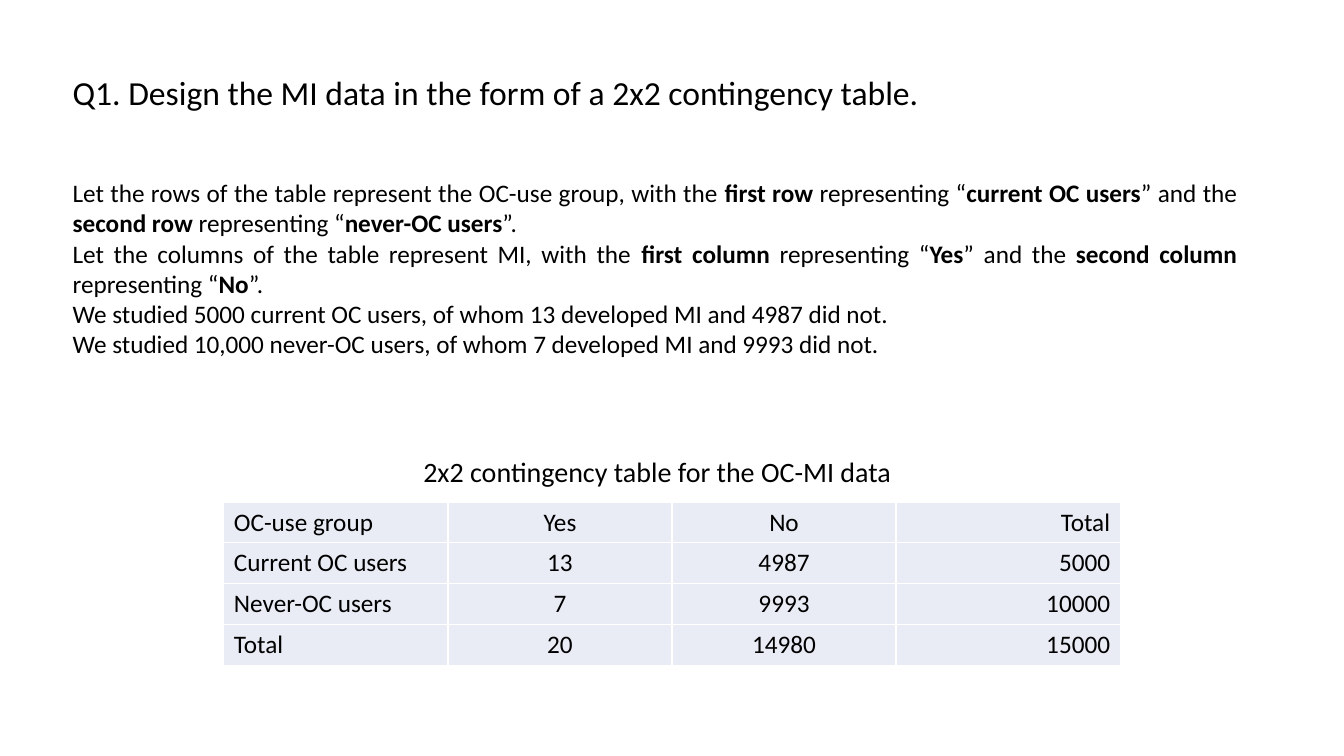
"""Build a slide that sets out the OC-MI data as a 2x2 contingency table."""
from dataclasses import dataclass

from lxml import etree
from pptx import Presentation
from pptx.dml.color import RGBColor
from pptx.enum.text import MSO_ANCHOR, MSO_AUTO_SIZE, PP_ALIGN
from pptx.oxml.ns import qn
from pptx.util import Emu, Pt

LEFT, MID, RIGHT, BOTH = PP_ALIGN.LEFT, PP_ALIGN.CENTER, PP_ALIGN.RIGHT, PP_ALIGN.JUSTIFY
TOP = MSO_ANCHOR.TOP
GROW = MSO_AUTO_SIZE.SHAPE_TO_FIT_TEXT
SCALE = 9144
FONT, BLACK, WHITE, PALE = "Calibri", "000000", "FFFFFF", "E9EBF5"


@dataclass
class Box:
    x: int
    y: int
    w: int
    h: int

    def emu(self) -> tuple:
        return tuple(px(n) for n in (self.x, self.y, self.w, self.h))


@dataclass
class Block:
    box: Box
    lines: list[str]
    size: int
    align: PP_ALIGN = LEFT
    after: int = 0
    wrap: bool = True


HEAD = Block(Box(62, 66, 866, 50),
             ["Q1. Design the MI data in the form of a 2x2 contingency table."],
             24, after=6, wrap=False)
BODY = Block(Box(62, 171, 1175, 192), [
    "Let the rows of the table represent the OC-use group, with the *first row *"
    "representing “*current OC users*” and the *second row *representing “*never-OC users*”.",
    "Let the columns of the table represent MI, with the *first column *"
    "representing “*Yes*” and the *second column *representing “*No*”.",
    "We studied 5000 current OC users, of whom 13 developed MI and 4987 did not.",
    "We studied 10,000 never-OC users, of whom 7 developed MI and 9993 did not.",
], 18, BOTH)
LABEL = Block(Box(410, 446, 513, 44), ["2x2 contingency table for the OC-MI data"], 20)
GRID = Box(222, 498, 889, 162)
ALIGNS = [LEFT, MID, MID, RIGHT]
ROWS = [
    ["OC-use group", "Yes", "No", "Total"],
    ["Current OC users", "13", "4987", "5000"],
    ["Never-OC users", "7", "9993", "10000"],
    ["Total", "20", "14980", "15000"],
]


def px(n: int) -> Emu:
    return Emu(n * SCALE)


def rgb(code: str) -> RGBColor:
    return RGBColor.from_string(code)


def style(run, size: int, bold: bool = False) -> None:
    font = run.font
    font.name, font.size, font.bold = FONT, Pt(size), bold
    font.color.rgb = rgb(BLACK)


def write(shape, block: Block) -> None:
    shape.left, shape.top, shape.width, shape.height = block.box.emu()
    frame = shape.text_frame
    frame.word_wrap, frame.auto_size = block.wrap, GROW
    frame.vertical_anchor = TOP
    for i, line in enumerate(block.lines):
        para = frame.add_paragraph() if i else frame.paragraphs[0]
        props = para._p.get_or_add_pPr()
        props.set("marL", "0")
        props.set("indent", "0")
        etree.SubElement(props, qn("a:buNone"))
        para.alignment = block.align
        para.space_before, para.space_after = Pt(0), Pt(block.after)
        for k, part in enumerate(line.split("*")):
            run = para.add_run()
            run.text = part
            style(run, block.size, k % 2 == 1)


def edge(cell) -> None:
    props = cell._tc.get_or_add_tcPr()
    for side in ("lnL", "lnR", "lnT", "lnB"):
        line = etree.SubElement(props, qn(f"a:{side}"), w=str(Pt(1)))
        fill = etree.SubElement(line, qn("a:solidFill"))
        etree.SubElement(fill, qn("a:srgbClr"), val=WHITE)


def draw_grid(slide) -> None:
    table = slide.shapes.add_table(len(ROWS), len(ALIGNS), *GRID.emu()).table
    table.first_row = table.horz_banding = False
    for r, row in enumerate(ROWS):
        for c, (text, align) in enumerate(zip(row, ALIGNS)):
            cell = table.cell(r, c)
            edge(cell)
            cell.fill.solid()
            cell.fill.fore_color.rgb = rgb(PALE)
            cell.text_frame.text = text
            para = cell.text_frame.paragraphs[0]
            para.alignment = align
            style(para.runs[0], 18)


def main() -> None:
    deck = Presentation()
    deck.slide_width, deck.slide_height = px(1333), px(750)
    slide = deck.slides.add_slide(deck.slide_layouts[1])
    write(slide.shapes.title, HEAD)
    write(slide.placeholders[1], BODY)
    draw_grid(slide)
    write(slide.shapes.add_textbox(*LABEL.box.emu()), LABEL)
    deck.save("out.pptx")


if __name__ == "__main__":
    main()
